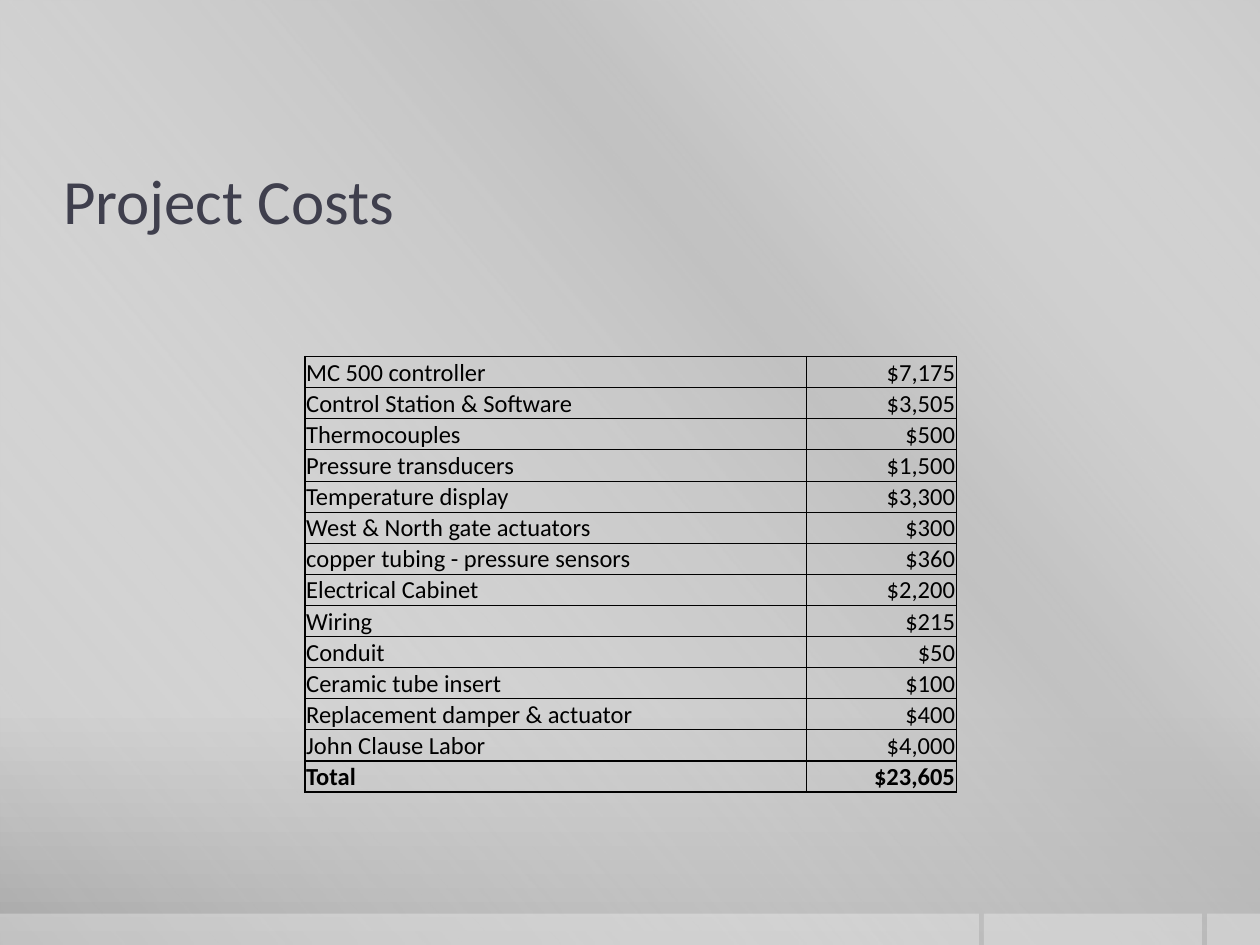
from lxml.etree import SubElement
from pptx import Presentation
from pptx.dml.color import RGBColor
from pptx.enum.shapes import MSO_SHAPE
from pptx.enum.text import MSO_ANCHOR, PP_ALIGN
from pptx.oxml.ns import qn
from pptx.util import Inches, Pt

TITLE = "Project Costs"
COSTS = [
    ("MC 500 controller", "$7,175"),
    ("Control Station & Software", "$3,505"),
    ("Thermocouples", "$500"),
    ("Pressure transducers", "$1,500"),
    ("Temperature display", "$3,300"),
    ("West & North gate actuators", "$300"),
    ("copper tubing - pressure sensors", "$360"),
    ("Electrical Cabinet", "$2,200"),
    ("Wiring", "$215"),
    ("Conduit", "$50"),
    ("Ceramic tube insert", "$100"),
    ("Replacement damper & actuator", "$400"),
    ("John Clause Labor", "$4,000"),
    ("Total", "$23,605"),
]
COLUMN_WIDTHS = (3.98, 1.19)
TABLE_LEFT, TABLE_TOP, TABLE_HEIGHT = 2.42, 2.83, 3.38
PAGE_WIDTH, PAGE_HEIGHT = 10, 7.5
FOOTER_TOP = 7.25
FOOTER_STRIPS = [(9.58, 0.42), (7.81, 1.73), (0, 7.77)]  # left, width

THEME = {
    "font": "Calibri",
    "title_size": 36,
    "table_size": 14,
    "title": "3F3F4D",
    "ink": "000000",
    "thin": 0.5,
    "thick": 1,
    # gradient stops: position %, colour, opacity %
    "backdrop": [(0, "CBCBCB", 100), (76, "C8C8C8", 100), (100, "A7A7A7", 100)],
    "sheen": [(0, "FFFFFF", 0), (34, "BFBFBF", 61), (38, "BFBFBF", 76), (100, "FFFFFF", 0)],
    "strip": [(0, "FFFFFF", 30), (100, "FFFFFF", 30)],
}


def paint_gradient(fill, owner, stops, angle):
    """Fill with stops of given opacity; the angle runs clockwise."""
    fill.gradient()
    gradient = owner.find(".//" + qn("a:gradFill"))
    for child in list(gradient):
        gradient.remove(child)
    stop_list = SubElement(gradient, qn("a:gsLst"))
    for position, colour, opacity in stops:
        stop = SubElement(stop_list, qn("a:gs"), pos=str(position * 1000))
        tint = SubElement(stop, qn("a:srgbClr"), val=colour)
        SubElement(tint, qn("a:alpha"), val=str(opacity * 1000))
    SubElement(gradient, qn("a:lin"), ang=str(angle * 60000), scaled="0")


def add_panel(page, left, top, width, height, stops, angle):
    panel = page.shapes.add_shape(
        MSO_SHAPE.RECTANGLE, *map(Inches, (left, top, width, height)))
    panel.shadow.inherit = False
    panel.line.fill.background()
    paint_gradient(panel.fill, panel.element, stops, angle)


def style_text(para, size, colour, align):
    para.alignment = align
    para.font.name = THEME["font"]
    para.font.size = Pt(size)
    para.font.color.rgb = RGBColor.from_string(colour)


def set_borders(cell, widths):
    """Draw the left, right, top and bottom borders, in that order."""
    properties = cell._tc.get_or_add_tcPr()
    for index, (side, width) in enumerate(zip("LRTB", widths)):
        line = SubElement(properties, qn(f"a:ln{side}"), w=str(Pt(width)))
        solid = SubElement(line, qn("a:solidFill"))
        SubElement(solid, qn("a:srgbClr"), val=THEME["ink"])
        properties.insert(index, line)


def add_title(page):
    title = page.shapes.title
    title.element.getparent().append(title.element)  # in front of the panels
    title.left, title.top, title.width, title.height = map(Inches, (0.5, 1.08, 9, 1))
    frame = title.text_frame
    frame.text = TITLE
    frame.margin_left = frame.margin_right = 0
    frame.vertical_anchor = MSO_ANCHOR.MIDDLE
    style_text(frame.paragraphs[0], THEME["title_size"], THEME["title"], PP_ALIGN.LEFT)


def add_cost_table(page):
    last = len(COSTS) - 1
    table = page.shapes.add_table(
        len(COSTS), len(COLUMN_WIDTHS), Inches(TABLE_LEFT), Inches(TABLE_TOP),
        Inches(sum(COLUMN_WIDTHS)), Inches(TABLE_HEIGHT)).table
    table.first_row = table.horz_banding = False
    for column, width in zip(table.columns, COLUMN_WIDTHS):
        column.width = Inches(width)
    thin, thick = THEME["thin"], THEME["thick"]
    for r, cost in enumerate(COSTS):
        top = thick if r in (0, last) else thin
        bottom = thick if r >= last - 1 else thin
        for c, text in enumerate(cost):
            cell = table.cell(r, c)
            cell.text = text
            cell.fill.background()
            cell.vertical_anchor = MSO_ANCHOR.BOTTOM
            cell.margin_left = cell.margin_right = cell.margin_top = Inches(0.01)
            cell.margin_bottom = 0
            para = cell.text_frame.paragraphs[0]
            style_text(para, THEME["table_size"], THEME["ink"],
                       PP_ALIGN.RIGHT if c else PP_ALIGN.LEFT)
            para.font.bold = r == last
            sides = (thin, thick) if c else (thick, thin)
            set_borders(cell, (*sides, top, bottom))


def main():
    deck = Presentation()
    deck.slide_width, deck.slide_height = Inches(PAGE_WIDTH), Inches(PAGE_HEIGHT)
    page = deck.slides.add_slide(deck.slide_layouts[5])
    paint_gradient(page.background.fill, page.element, THEME["backdrop"], 90)
    add_panel(page, 0, 0, PAGE_WIDTH, PAGE_HEIGHT, THEME["sheen"], 140)
    for left, width in FOOTER_STRIPS:
        add_panel(page, left, FOOTER_TOP, width, PAGE_HEIGHT - FOOTER_TOP, THEME["strip"], 0)
    add_title(page)
    add_cost_table(page)
    deck.save("out.pptx")


if __name__ == "__main__":
    main()
